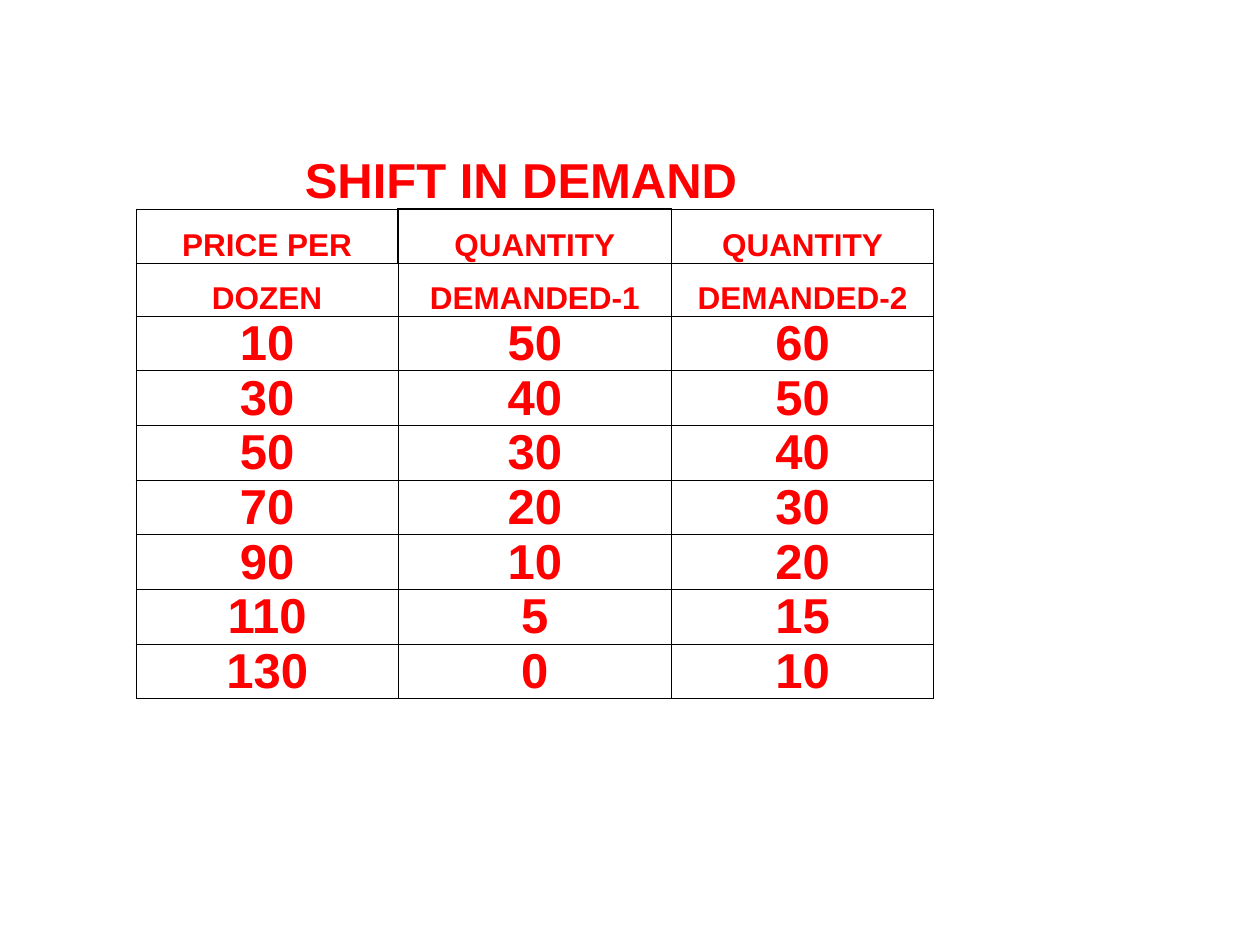
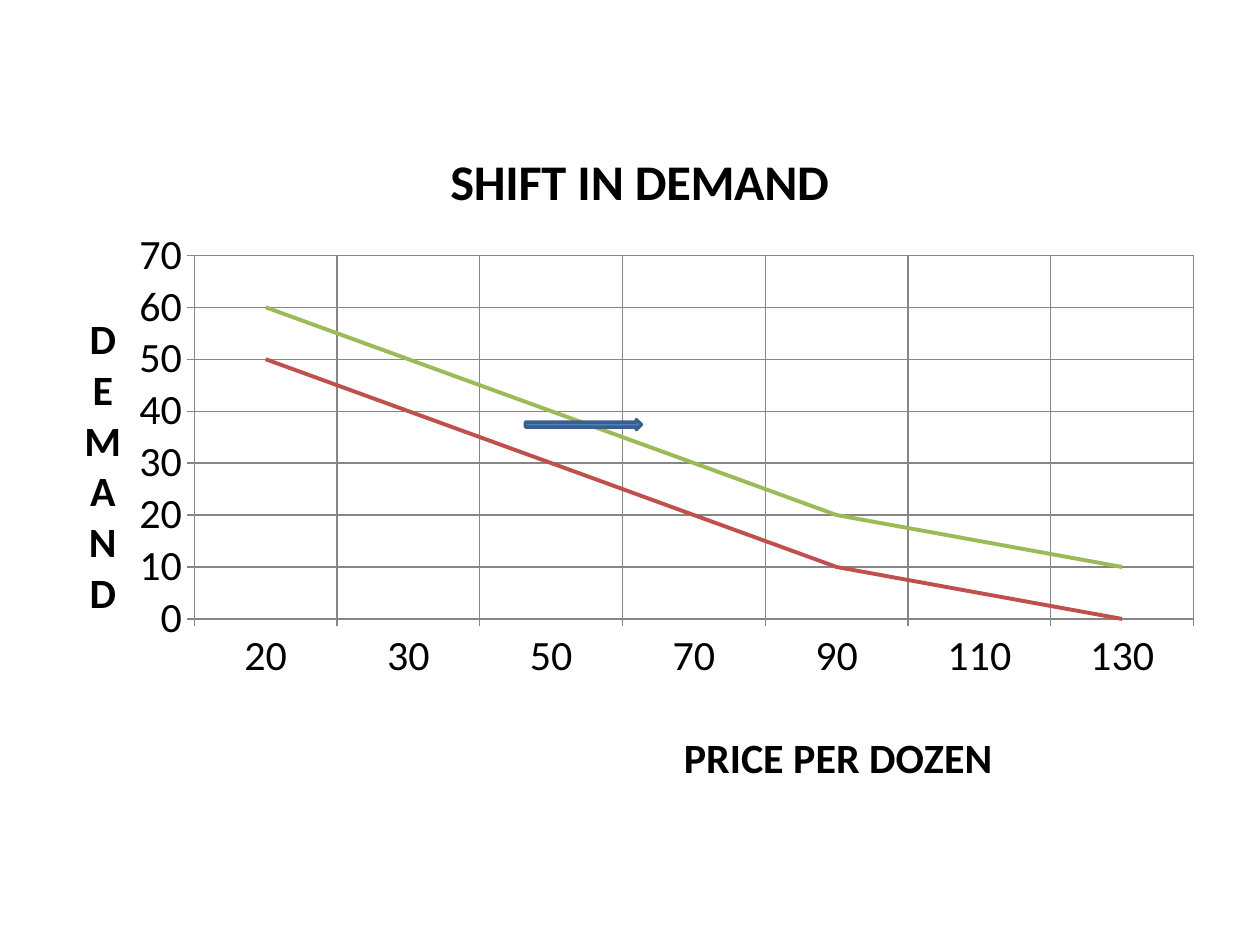
import pptx
import pptx.chart.data
import pptx.dml.color
import pptx.enum.chart
import pptx.enum.shapes
import pptx.enum.text
import pptx.oxml
import pptx.oxml.ns
import pptx.util

Inches = pptx.util.Inches
Pt = pptx.util.Pt
RGBColor = pptx.dml.color.RGBColor
qn = pptx.oxml.ns.qn

RED = RGBColor(0xFF, 0, 0)
BLACK = RGBColor(0, 0, 0)
GRAY = RGBColor(0x86, 0x86, 0x86)
BLUE = RGBColor(0x4F, 0x81, 0xBD)
NAVY = RGBColor(0x3A, 0x5F, 0x8C)
BRICK = RGBColor(0xC0, 0x50, 0x4D)
GREEN = RGBColor(0x9B, 0xBB, 0x59)

TITLE = "SHIFT IN DEMAND"
PRICES = [10, 30, 50, 70, 90, 110, 130]
FIRST = [50, 40, 30, 20, 10, 5, 0]
SECOND = [60, 50, 40, 30, 20, 15, 10]
SIDES = {"lnL": (0, -1), "lnR": (0, 1), "lnT": (-1, 0), "lnB": (1, 0)}
BOLD_CELL = (1, 1)


def style(font, size, color, bold=True, name="Calibri"):
    font.name, font.size, font.bold = name, Pt(size), bold
    font.color.rgb = color


def add_edges(cell, row, col):
    props = cell._tc.get_or_add_tcPr()
    for tag, (down, right) in SIDES.items():
        if row == 0 and tag != "lnB":
            width, paint = 0, "<a:noFill/>"
        else:
            near = (row, col), (row + down, col + right)
            width = 1 if BOLD_CELL in near else 0.5
            paint = f'<a:solidFill><a:srgbClr val="{BLACK}"/></a:solidFill>'
        props.append(pptx.oxml.parse_xml(
            f'<a:{tag} {pptx.oxml.ns.nsdecls("a")} w="{Pt(width)}">{paint}</a:{tag}>'))


def add_demand_table(slide, left, top, width, height):
    rows = [(TITLE, "", ""), ("PRICE PER", "QUANTITY", "QUANTITY"),
            ("DOZEN", "DEMANDED-1", "DEMANDED-2"), *zip(PRICES, FIRST, SECOND)]
    table = slide.shapes.add_table(len(rows), 3, Inches(left), Inches(top),
                                   Inches(width), Inches(height)).table
    table.first_row = table.horz_banding = False
    for col, size in zip(table.columns, (2.08, 2.17, 2.08)):
        col.width = Inches(size)
    for i, values in enumerate(rows):
        table.rows[i].height = Inches({0: 0.49, 1: 0.43}.get(i, 0.42))
        for j, value in enumerate(values):
            cell = table.cell(i, j)
            add_edges(cell, i, j)
            cell.fill.background()
            cell.margin_left = cell.margin_right = 0
            cell.margin_top = cell.margin_bottom = 0
            cell.vertical_anchor = pptx.enum.text.MSO_ANCHOR.BOTTOM
            cell.text = str(value)
            para = cell.text_frame.paragraphs[0]
            para.alignment = pptx.enum.text.PP_ALIGN.CENTER
            style(para.font, 18 if i in (1, 2) else 28, RED, name="Arial")
    table.cell(0, 0).merge(table.cell(0, 2))
    table.cell(0, 0).margin_right = Inches(0.22)


def place(node, index, x, y, size=None):
    for old in node.findall(qn("c:layout")):
        node.remove(old)
    parts = {"xMode": "edge", "yMode": "edge", "x": x, "y": y}
    if size:
        parts = {"layoutTarget": "inner", **parts, "w": size[0], "h": size[1]}
    body = "".join(f'<c:{tag} val="{val}"/>' for tag, val in parts.items())
    node.insert(index, pptx.oxml.parse_xml(
        f'<c:layout {pptx.oxml.ns.nsdecls("c")}><c:manualLayout>{body}'
        '</c:manualLayout></c:layout>'))


def set_title(title, text, size, x, y):
    title.text_frame.text = text
    style(title.text_frame.paragraphs[0].font, size, BLACK)
    place(title._element, 1, x, y)


def add_demand_chart(slide, left, top, width, height):
    data = pptx.chart.data.CategoryChartData()
    data.categories = ["20", *map(str, PRICES[1:])]
    data.add_series("Series 1", FIRST)
    data.add_series("Series 2", SECOND)
    chart = slide.shapes.add_chart(
        pptx.enum.chart.XL_CHART_TYPE.LINE, Inches(left), Inches(top),
        Inches(width), Inches(height), data).chart
    style(chart.font, 24, BLACK, bold=False)
    chart.has_legend = False
    chart.plots[0].vary_by_categories = False
    for line, color in zip(chart.plots[0].series, (BRICK, GREEN)):
        line.smooth = False
        line.marker.style = pptx.enum.chart.XL_MARKER_STYLE.NONE
        line.format.line.width = Pt(2.25)
        line.format.line.color.rgb = color
    across, upward = chart.category_axis, chart.value_axis
    for axis in (across, upward):
        axis.has_major_gridlines = True
        axis.major_tick_mark = pptx.enum.chart.XL_TICK_MARK.OUTSIDE
        for part in (axis, axis.major_gridlines):
            part.format.line.color.rgb = GRAY
            part.format.line.width = Pt(0.75)
    upward.minimum_scale, upward.maximum_scale, upward.major_unit = 0, 70, 10
    chart.has_title = True
    set_title(chart.chart_title, TITLE, 28.8, 0.34, 0.05)
    set_title(across.axis_title, "PRICE PER DOZEN", 24, 0.54, 0.9)
    set_title(upward.axis_title, "DEMAND", 24, 0.03, 0.29)
    body = next(upward.axis_title._element.iter(qn("a:bodyPr")))
    body.set("rot", "0")
    body.set("vert", "wordArtVert")
    place(chart._chartSpace.chart.plotArea, 0, 0.13, 0.22, (0.85, 0.53))


def add_shift_arrow(slide, left, top, width, height):
    arrow = slide.shapes.add_shape(
        pptx.enum.shapes.MSO_SHAPE.RIGHT_ARROW, Inches(left), Inches(top),
        Inches(width), Inches(height))
    arrow.shadow.inherit = False
    arrow.fill.solid()
    arrow.fill.fore_color.rgb = BLUE
    arrow.line.color.rgb = NAVY
    arrow.line.width = Pt(2)


def main():
    deck = pptx.Presentation()
    deck.slide_width, deck.slide_height = Inches(10), Inches(7.5)
    blank = deck.slide_layouts[6]
    add_demand_table(deck.slides.add_slide(blank), 1.08, 1.17, 6.33, 4.61)
    graph = deck.slides.add_slide(blank)
    add_demand_chart(graph, 0.33, 0.83, 9.33, 5.5)
    add_shift_arrow(graph, 4.17, 3.33, 0.92, 0.08)
    deck.save("out.pptx")


if __name__ == "__main__":
    main()
